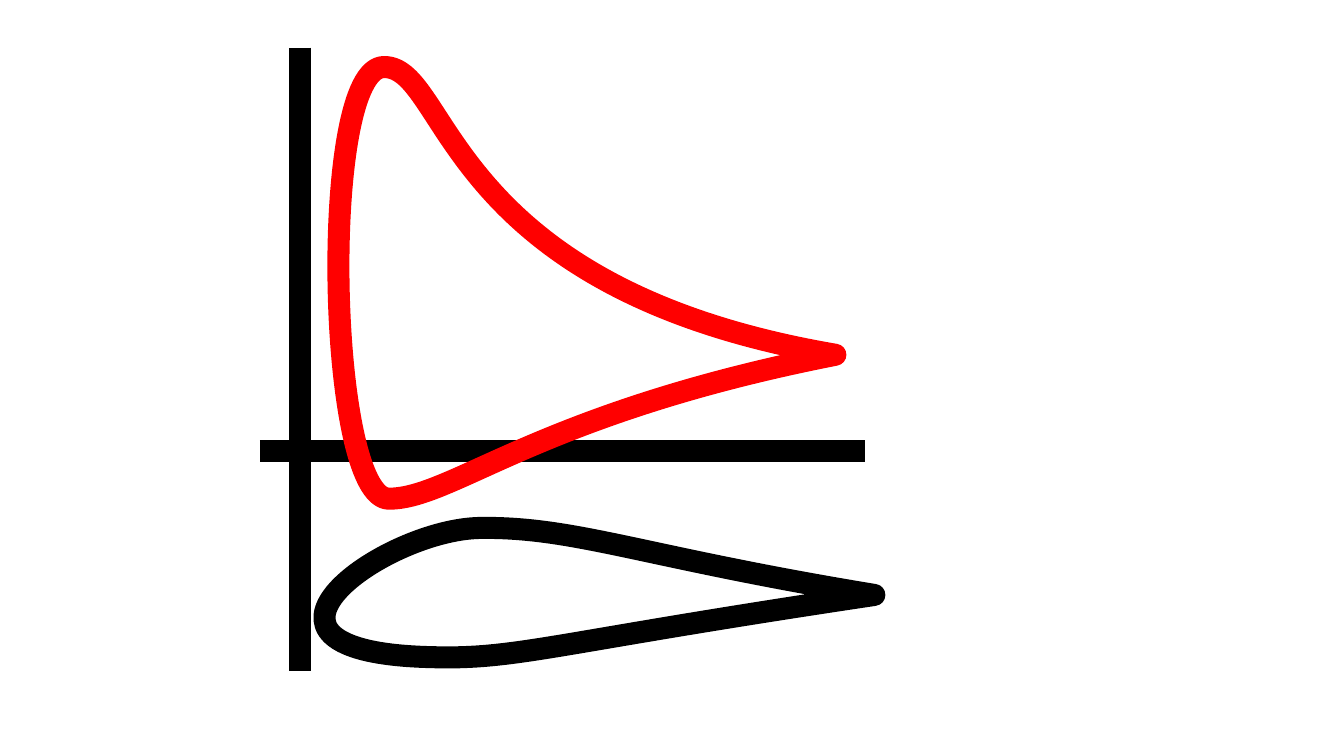
from lxml import etree
from pptx import Presentation
from pptx import util as u
from pptx.dml.color import RGBColor
from pptx.enum import shapes
from pptx.oxml import ns


def ink(line, tint):
    line.color.rgb = RGBColor.from_string(tint)
    line.width = u.Pt(13)


def outline(box, start, curves, tint, fill=None):
    """Draw a closed outline of cubic curves (two controls, one end) in a box."""
    x, y, w, h = [u.Inches(v) for v in box]
    pen = slide.shapes.build_freeform(x, y)
    pen.add_line_segments([(x + w, y), (x + w, y + h)], close=True)
    shape = pen.convert_to_shape()
    shape.shadow.inherit = False

    # Swap the straight frame for the curves
    route = shape._element.spPr.find(".//" + ns.qn("a:path"))
    for part in list(route):
        route.remove(part)
    steps = [("a:moveTo", [start])] + [("a:cubicBezTo", c) for c in curves]
    for tag, dots in steps + [("a:close", [])]:
        step = etree.SubElement(route, ns.qn(tag))
        for px, py in dots:
            etree.SubElement(step, ns.qn("a:pt"),
                             x=str(u.Inches(px) - x), y=str(u.Inches(py) - y))

    if fill:
        shape.fill.solid()
        shape.fill.fore_color.rgb = RGBColor.from_string(fill)
    else:
        shape.fill.background()
    ink(shape.line, tint)
    etree.SubElement(shape.line._get_or_add_ln(), ns.qn("a:round"))


deck = Presentation()
deck.slide_width, deck.slide_height = u.Inches(11.02), u.Inches(6.2)
slide = deck.slides.add_slide(deck.slide_layouts[6])

# Wing section
outline((2.66, 4.33, 4.5, 1.06), (7.17, 4.88), [
    ((5.28, 4.57), (4.72, 4.32), (3.94, 4.33)),
    ((3.15, 4.34), (1.73, 5.35), (3.54, 5.39)),
    ((4.25, 5.41), (4.49, 5.28), (7.17, 4.88)),
], "000000", fill="FFFFFF")

# Axes
for x1, y1, x2, y2 in [(2.46, 0.39, 2.46, 5.5), (2.13, 3.7, 7.09, 3.7)]:
    axis = slide.shapes.add_connector(
        shapes.MSO_CONNECTOR.STRAIGHT,
        u.Inches(x1), u.Inches(y1), u.Inches(x2), u.Inches(y2))
    ink(axis.line, "000000")
    etree.SubElement(axis._element.spPr, ns.qn("a:effectLst"))

# Pressure curve
outline((2.78, 0.55, 4.07, 3.54), (6.85, 2.91), [
    ((3.62, 2.36), (3.69, 0.55), (3.15, 0.55)),
    ((2.61, 0.55), (2.68, 4.09), (3.19, 4.09)),
    ((3.71, 4.09), (4.41, 3.39), (6.85, 2.91)),
], "FF0000")

deck.save("out.pptx")
